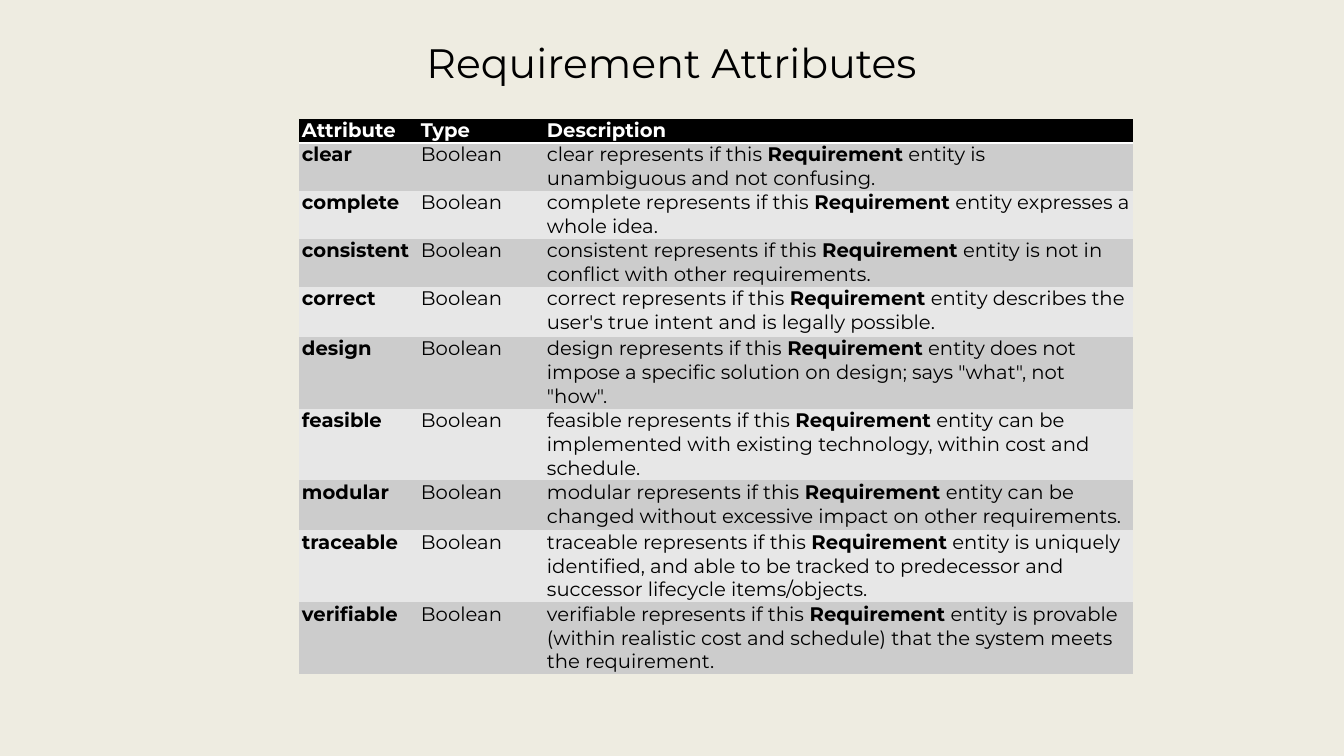
from dataclasses import dataclass

from lxml.etree import SubElement
from pptx import Presentation
from pptx.dml.color import RGBColor
from pptx.enum.text import MSO_ANCHOR as Anchor, MSO_AUTO_SIZE as AutoSize, PP_ALIGN as Align
from pptx.oxml.ns import qn
from pptx.util import Emu, Pt


@dataclass(frozen=True)
class Theme:
    font: str = "Montserrat"
    background: str = "EEECE1"
    ink: str = "000000"
    header_ink: str = "FFFFFF"
    header_fill: str = "000000"
    bands: tuple = ("CCCCCC", "E7E7E7")
    title_size: float = 29.3
    table_size: float = 14
    rule_width: float = 2
    plain_table_style: str = "{2D5ABB26-0587-4C30-8999-92F81FD0307C}"


HEADINGS = ("Attribute", "Type", "Description")
KEYWORD = "Requirement"
ATTRIBUTES = (
    ("clear", "is unambiguous and not confusing."),
    ("complete", "expresses a whole idea."),
    ("consistent", "is not in conflict with other requirements."),
    ("correct", "describes the user's true intent and is legally possible."),
    ("design", 'does not impose a specific solution on design; says "what", not "how".'),
    ("feasible", "can be implemented with existing technology, within cost and schedule."),
    ("modular", "can be changed without excessive impact on other requirements."),
    ("traceable", "is uniquely identified, and able to be tracked to predecessor "
                  "and successor lifecycle items/objects."),
    ("verifiable", "is provable (within realistic cost and schedule) "
                   "that the system meets the requirement."),
)
COLUMN_WIDTHS = (119, 126, 589)
ROW_HEIGHTS = (24, 48, 48, 47, 50, 72, 71, 50, 72, 72)


def px(length):
    return Emu(round(length * 914400 / 100.8))


class SlideBuilder:
    def __init__(self, presentation, theme):
        self.theme = theme
        self.slide = presentation.slides.add_slide(presentation.slide_layouts[5])
        fill = self.slide.background.fill
        fill.solid()
        fill.fore_color.rgb = RGBColor.from_string(theme.background)

    def style(self, paragraph, size, color, bold=None):
        font = paragraph.font
        font.name = self.theme.font
        font.size = Pt(size)
        font.bold = bold
        font.color.rgb = RGBColor.from_string(color)

    def title(self, text, left, top, width, height):
        shape = self.slide.shapes.title
        shape.left, shape.top, shape.width, shape.height = map(px, (left, top, width, height))
        frame = shape.text_frame
        frame.text = text
        frame.auto_size = AutoSize.NONE
        frame.vertical_anchor = Anchor.MIDDLE
        paragraph = frame.paragraphs[0]
        paragraph.alignment = Align.CENTER
        self.style(paragraph, self.theme.title_size, self.theme.ink)

    def table(self, left, top, column_widths, row_heights):
        frame = self.slide.shapes.add_table(
            len(row_heights), len(column_widths), px(left), px(top),
            px(sum(column_widths)), px(sum(row_heights)))
        for style_id in frame.element.iter(qn("a:tableStyleId")):
            style_id.text = self.theme.plain_table_style
        table = frame.table
        table.horz_banding = False
        for column, width in zip(table.columns, column_widths):
            column.width = px(width)
        for row, height in zip(table.rows, row_heights):
            row.height = px(height)
        return table

    def cell(self, cell, pieces, fill, color, bold=None):
        cell.margin_left = cell.margin_right = px(3)
        cell.margin_top = cell.margin_bottom = 0
        cell.fill.solid()
        cell.fill.fore_color.rgb = RGBColor.from_string(fill)
        paragraph = cell.text_frame.paragraphs[0]
        for piece in pieces:
            run = paragraph.add_run()
            run.text = piece
            if piece == KEYWORD:
                run.font.bold = True
        self.style(paragraph, self.theme.table_size, color, bold)

    def bottom_rule(self, cell, color):
        properties = cell._tc.get_or_add_tcPr()
        line = SubElement(properties, qn("a:lnB"), w=str(Pt(self.theme.rule_width)))
        fill = SubElement(line, qn("a:solidFill"))
        SubElement(fill, qn("a:srgbClr"), val=color)
        properties.insert(0, line)

    def attribute_table(self, left, top):
        theme = self.theme
        table = self.table(left, top, COLUMN_WIDTHS, ROW_HEIGHTS)
        for column, heading in enumerate(HEADINGS):
            cell = table.cell(0, column)
            self.cell(cell, [heading], theme.header_fill, theme.header_ink, True)
            self.bottom_rule(cell, theme.header_ink)
        for row, (name, meaning) in enumerate(ATTRIBUTES, start=1):
            band = theme.bands[(row - 1) % 2]
            description = [f"{name} represents if this ", KEYWORD, f" entity {meaning}"]
            self.cell(table.cell(row, 0), [name], band, theme.ink, True)
            self.cell(table.cell(row, 1), ["Boolean"], band, theme.ink)
            self.cell(table.cell(row, 2), description, band, theme.ink)


def main():
    presentation = Presentation()
    presentation.slide_width, presentation.slide_height = px(1344), px(756)
    builder = SlideBuilder(presentation, Theme())
    builder.title("Requirement Attributes", 36, 20, 1271, 84)
    builder.attribute_table(299, 119)
    presentation.save("out.pptx")


if __name__ == "__main__":
    main()
